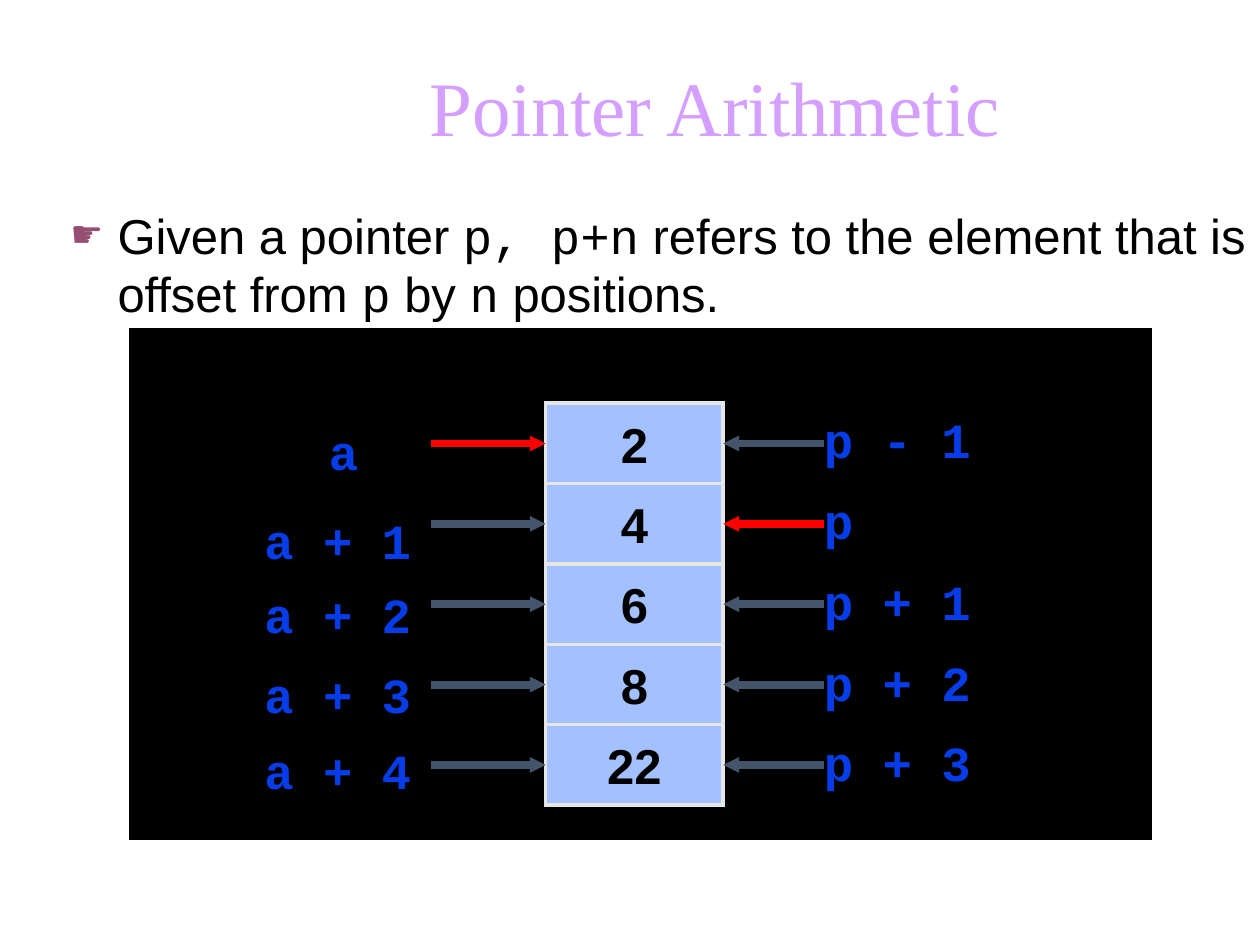
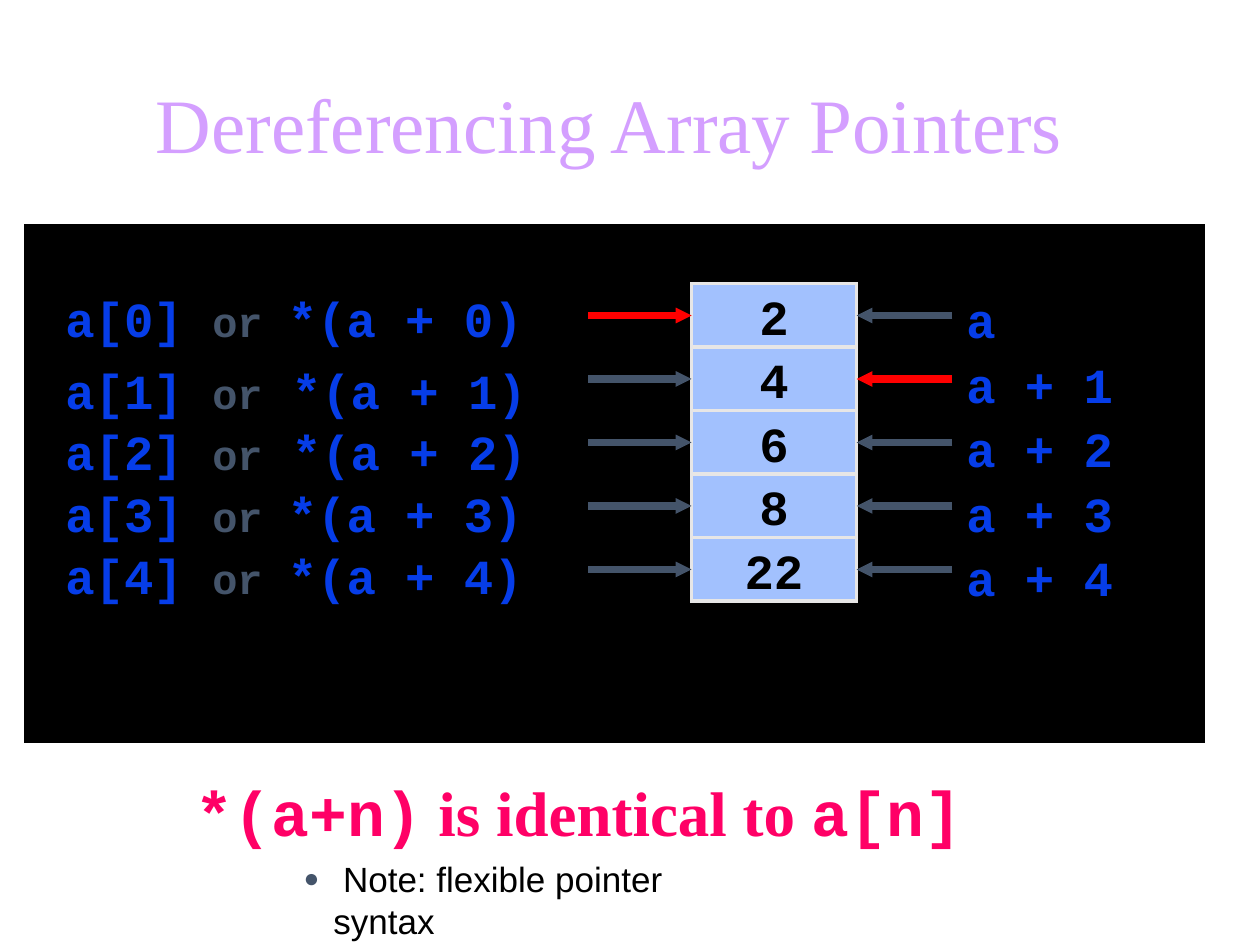
from dataclasses import dataclass

from lxml.etree import SubElement
from pptx import Presentation
from pptx.dml.color import RGBColor
from pptx.enum.shapes import MSO_CONNECTOR, MSO_SHAPE
from pptx.enum.text import MSO_ANCHOR, MSO_AUTO_SIZE, PP_ALIGN
from pptx.oxml.ns import qn
from pptx.util import Cm, Pt


@dataclass(frozen=True)
class Theme:
    black: str = "000000"
    white: str = "FFFFFF"
    cell: str = "A2C1FE"
    cell_edge: str = "E7E6E6"
    bullet: str = "954F72"
    slate: str = "44546A"
    red: str = "FF0000"
    title: tuple = ("Times New Roman", 44, "D49FFF", False)
    body: tuple = ("Arial", 28, "000000", False)
    body_code: tuple = ("Courier New", 28, "000000", False)
    number: tuple = ("Arial", 28, "000000", True)
    number_code: tuple = ("Courier New", 28, "000000", True)
    label: tuple = ("Courier New", 28, "063DE8", True)
    either: tuple = ("Courier New", 24, "44546A", True)
    claim: tuple = ("Times New Roman", 36, "FF0066", True)
    claim_code: tuple = ("Courier New", 36, "FF0066", True)
    note: tuple = ("Arial", 20, "000000", False)
    label_gap: int = 7
    note_gap: int = 5


THEME = Theme()
VALUES = ["2", "4", "6", "8", "22"]
LABEL_HEIGHT = 1.45

ARITHMETIC = {
    "title": "Pointer Arithmetic",
    "title_at": (3.48, 1.27),
    "panel": (2.54, 6.55, 20.75, 10.44),
    "cells": (11, 8.13, 3.58, 1.62),
    "number": THEME.number,
    "arrow_starts": (8.69, 16.61),
    "left_labels": {
        "lefts": [6.38, 5.08, 5.08, 5.08, 5.08],
        "tops": [8.38, 10.16, 11.66, 13.28, 14.81],
        "width": 3.86,
        "texts": [[(text, THEME.label)] for text in ("a", "a + 1", "a + 2", "a + 3", "a + 4")],
    },
    "right_labels": {
        "lefts": [16.36] * 5,
        "tops": [8.13 + 1.63 * row for row in range(5)],
        "width": 4.17,
        "texts": [[(text, THEME.label)] for text in ("p - 1", "p", "p + 1", "p + 2", "p + 3")],
    },
}

DEREFERENCING = {
    "title": "Dereferencing Array Pointers",
    "title_at": (1.35, 1.63),
    "panel": (0.43, 4.45, 23.93, 10.59),
    "cells": (13.94, 5.72, 3.33, 1.28),
    "number": THEME.number_code,
    "arrow_starts": (11.86, 19.2),
    "left_labels": {
        "lefts": [1.07] * 5,
        "tops": [5.69, 7.14, 8.38, 9.63, 10.87],
        "width": 11,
        "texts": [
            [(f"a[{row}] ", THEME.label), (either, THEME.either), (sum_text, THEME.label)]
            for row, either, sum_text in [
                (0, "or ", "*(a + 0)"),
                (1, "or", " *(a + 1)"),
                (2, "or", " *(a + 2)"),
                (3, "or ", "*(a + 3)"),
                (4, "or ", "*(a + 4)"),
            ]
        ],
    },
    "right_labels": {
        "lefts": [19.23] * 5,
        "tops": [5.72 + 1.3 * row for row in range(5)],
        "width": 4.01,
        "texts": [[(text, THEME.label)] for text in ("a", "a + 1", "a + 2", "a + 3", "a + 4")],
    },
}

EXPLANATION = [
    ("Given a pointer ", THEME.body),
    ("p, p+n", THEME.body_code),
    (" refers to the element that is offset from ", THEME.body),
    ("p", THEME.body_code),
    (" by ", THEME.body),
    ("n", THEME.body_code),
    (" positions.", THEME.body),
]
CLAIM = [
    ("*(a+n)", THEME.claim_code),
    (" is identical to ", THEME.claim),
    ("a[n]", THEME.claim_code),
]
NOTE = [(" Note: flexible pointer syntax", THEME.note)]


def color(code):
    return RGBColor.from_string(code)


def lengths(numbers):
    return [Cm(number) for number in numbers]


def write(para, spans, gap=0):
    para.space_before = Pt(gap)
    for text, (font, size, code, bold) in spans:
        span = para.add_run()
        span.text = text
        span.font.name = font
        span.font.size = Pt(size)
        span.font.color.rgb = color(code)
        span.font.bold = bold


def add_text(page, place, spans, gap=0):
    box = page.shapes.add_textbox(*lengths(place))
    box.text_frame.word_wrap = True
    para = box.text_frame.paragraphs[0]
    write(para, spans, gap)
    return para


def add_bullet(para, symbol, code, indent):
    properties = para._p.get_or_add_pPr()
    properties.set("marL", str(Cm(indent)))
    properties.set("indent", str(-Cm(indent)))
    bullet_color = SubElement(properties, qn("a:buClr"))
    SubElement(bullet_color, qn("a:srgbClr"), val=code)
    SubElement(properties, qn("a:buSzPct"), val="75000")
    SubElement(properties, qn("a:buFont"), typeface="Arial")
    SubElement(properties, qn("a:buChar"), char=symbol)


def add_rectangle(page, place, fill, edge, weight):
    box = page.shapes.add_shape(MSO_SHAPE.RECTANGLE, *lengths(place))
    box.shadow.inherit = False
    box.fill.solid()
    box.fill.fore_color.rgb = color(fill)
    box.line.color.rgb = color(edge)
    box.line.width = Pt(weight)
    SubElement(box.line._get_or_add_ln(), qn("a:miter"), lim="800000")
    return box


def add_cell(page, place, value, style):
    cell = add_rectangle(page, place, THEME.cell, THEME.cell_edge, 2)
    frame = cell.text_frame
    frame.word_wrap = False
    frame.vertical_anchor = MSO_ANCHOR.MIDDLE
    para = frame.paragraphs[0]
    para.alignment = PP_ALIGN.CENTER
    write(para, [(value, style)], THEME.label_gap)
    return cell


def add_arrow(page, start, cell, side, code):
    middle = cell.top + cell.height // 2
    arrow = page.shapes.add_connector(MSO_CONNECTOR.STRAIGHT, Cm(start), middle, cell.left, middle)
    arrow.end_connect(cell, side)
    arrow.line.color.rgb = color(code)
    arrow.line.width = Pt(4.5)
    SubElement(arrow.line._get_or_add_ln(), qn("a:tailEnd"), type="triangle", w="sm", len="sm")
    SubElement(arrow._element.spPr, qn("a:effectLst"))


def add_page(deck, content):
    page = deck.slides.add_slide(deck.slide_layouts[5])
    title = page.shapes.title
    title.left, title.top, title.width, title.height = lengths((*content["title_at"], 21.87, 1.91))
    frame = title.text_frame
    frame.auto_size = MSO_AUTO_SIZE.NONE
    frame.word_wrap = True
    frame.vertical_anchor = MSO_ANCHOR.BOTTOM
    frame.paragraphs[0].alignment = PP_ALIGN.CENTER
    write(frame.paragraphs[0], [(content["title"], THEME.title)])
    return page


def add_array(page, content):
    add_rectangle(page, content["panel"], THEME.black, THEME.white, 3.5)
    left, top, width, height = content["cells"]
    cells = [
        add_cell(page, (left, top + row * height, width, height), value, content["number"])
        for row, value in enumerate(VALUES)
    ]
    for labels in (content["left_labels"], content["right_labels"]):
        for label_left, label_top, spans in zip(labels["lefts"], labels["tops"], labels["texts"]):
            place = (label_left, label_top, labels["width"], LABEL_HEIGHT)
            add_text(page, place, spans, THEME.label_gap)
    for start, side, red_row in zip(content["arrow_starts"], (1, 3), (0, 1)):
        for row, cell in enumerate(cells):
            add_arrow(page, start, cell, side, THEME.red if row == red_row else THEME.slate)


def main():
    deck = Presentation()
    deck.slide_width, deck.slide_height = Cm(25.4), Cm(19.05)

    page = add_page(deck, ARITHMETIC)
    para = add_text(page, (1.17, 4.01, 24.23, 14.27), EXPLANATION, THEME.label_gap)
    add_bullet(para, "☛", THEME.bullet, 0.95)
    add_array(page, ARITHMETIC)

    page = add_page(deck, DEREFERENCING)
    add_text(page, (3.7, 15.47, 16.5, 1.78), CLAIM)
    add_array(page, DEREFERENCING)
    para = add_text(page, (5.87, 17.17, 9.78, 1.12), NOTE, THEME.note_gap)
    add_bullet(para, "●", THEME.slate, 0.6)

    deck.save("out.pptx")


if __name__ == "__main__":
    main()
